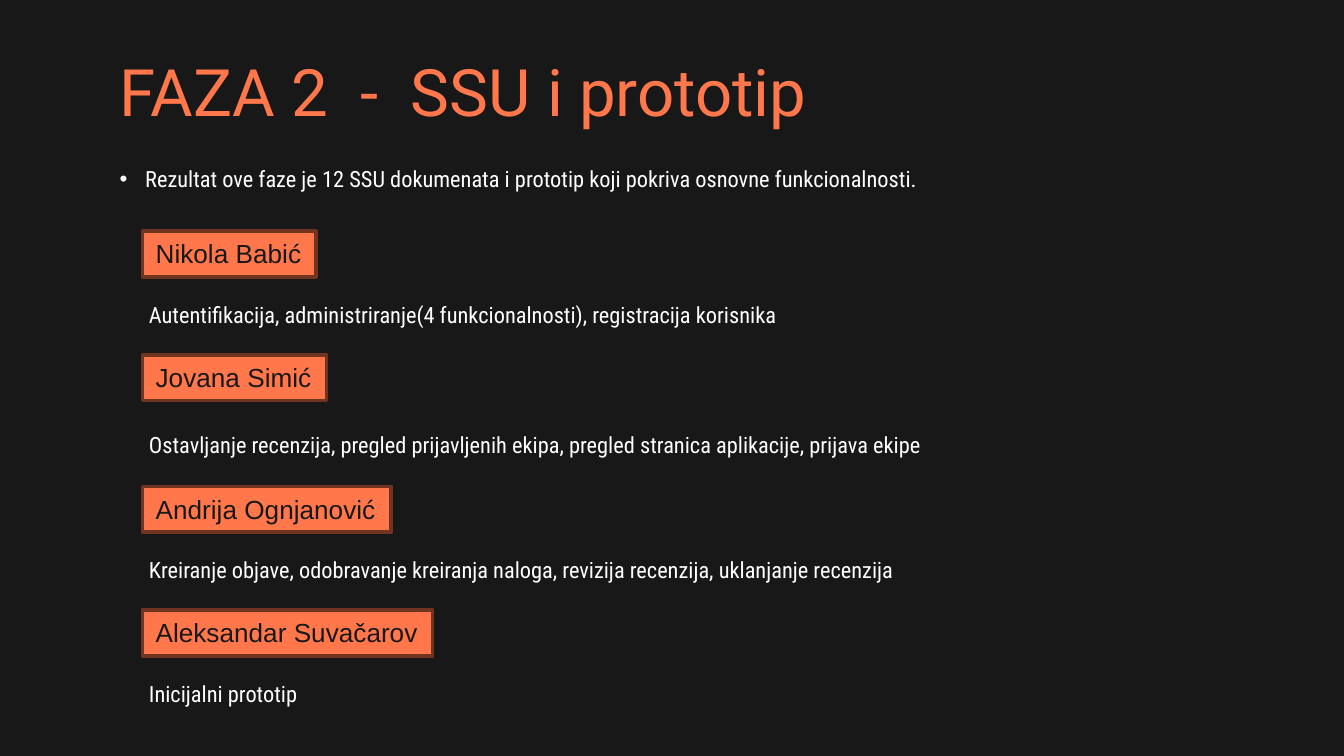
from lxml import etree
from pptx import Presentation
from pptx.dml.color import RGBColor
from pptx.enum import shapes, text
from pptx.oxml.ns import qn
from pptx.util import Inches, Pt

COLORS = {
    "background": "181818",
    "accent": "FF774B",
    "border": "703421",
    "body": "FFFFFF",
}
MEMBERS = [  # name, tag top, tag width, work, work top
    ("Nikola Babić", 1.72, 1.29,
     "Autentifikacija, administriranje(4 funkcionalnosti), registracija korisnika", 2.19),
    ("Jovana Simić", 2.64, 1.37,
     "Ostavljanje recenzija, pregled prijavljenih ekipa, pregled stranica aplikacije, prijava ekipe", 3.16),
    ("Andrija Ognjanović", 3.62, 1.85,
     "Kreiranje objave, odobravanje kreiranja naloga, revizija recenzija, uklanjanje recenzija", 4.09),
    ("Aleksandar Suvačarov", 4.54, 2.16, "Inicijalni prototip", 5.01),
]


def place(shape, left, top, width, height):
    shape.left, shape.top = Inches(left), Inches(top)
    shape.width, shape.height = Inches(width), Inches(height)


def write(shape, content, font, size, color, anchor=text.MSO_ANCHOR.TOP, wrap=True):
    """Fill a shape with one left-aligned paragraph and return that paragraph."""
    frame = shape.text_frame
    frame.text = content
    frame.word_wrap = wrap
    frame.auto_size = text.MSO_AUTO_SIZE.NONE
    frame.vertical_anchor = anchor
    paragraph = frame.paragraphs[0]
    paragraph.alignment = text.PP_ALIGN.LEFT
    paragraph.space_before = Pt(0)
    paragraph.font.name = font
    paragraph.font.size = Pt(size)
    paragraph.font.color.rgb = RGBColor.from_string(COLORS[color])
    return paragraph


presentation = Presentation()
presentation.slide_width = Inches(10)
presentation.slide_height = Inches(10 * 9 / 16)
slide = presentation.slides.add_slide(presentation.slide_layouts[1])
slide.background.fill.solid()
slide.background.fill.fore_color.rgb = RGBColor.from_string(COLORS["background"])

title = slide.shapes.title
place(title, 0.79, 0.36, 8.43, 0.63)
write(title, "FAZA 2  -  SSU i prototip", "Roboto", 35, "accent", text.MSO_ANCHOR.MIDDLE)

summary = slide.placeholders[1]
place(summary, 0.79, 1.18, 8.27, 0.54)
paragraph = write(
    summary,
    "Rezultat ove faze je 12 SSU dokumenata i prototip koji pokriva osnovne funkcionalnosti.",
    "Roboto Condensed", 12, "body")
properties = paragraph._p.get_or_add_pPr()
properties.set("marL", str(Inches(0.19)))
properties.set("indent", str(Inches(-0.19)))
bullet_font = etree.Element(qn("a:buFont"), typeface="Arial")
bullet = etree.Element(qn("a:buChar"), char="•")
properties.find(qn("a:spcBef")).addnext(bullet_font)
bullet_font.addnext(bullet)

for name, tag_top, tag_width, work, work_top in MEMBERS:
    tag = slide.shapes.add_shape(
        shapes.MSO_SHAPE.RECTANGLE,
        Inches(1.06), Inches(tag_top), Inches(tag_width), Inches(0.34))
    tag.shadow.inherit = False
    tag.fill.solid()
    tag.fill.fore_color.rgb = RGBColor.from_string(COLORS["accent"])
    tag.line.color.rgb = RGBColor.from_string(COLORS["border"])
    tag.line.width = Pt(2)
    write(tag, name, "Arial", 14, "background", wrap=False)

    description = slide.shapes.add_textbox(
        Inches(1.01), Inches(work_top), Inches(6.05), Inches(0.3))
    write(description, work, "Roboto Condensed", 12, "body")

presentation.save("out.pptx")
